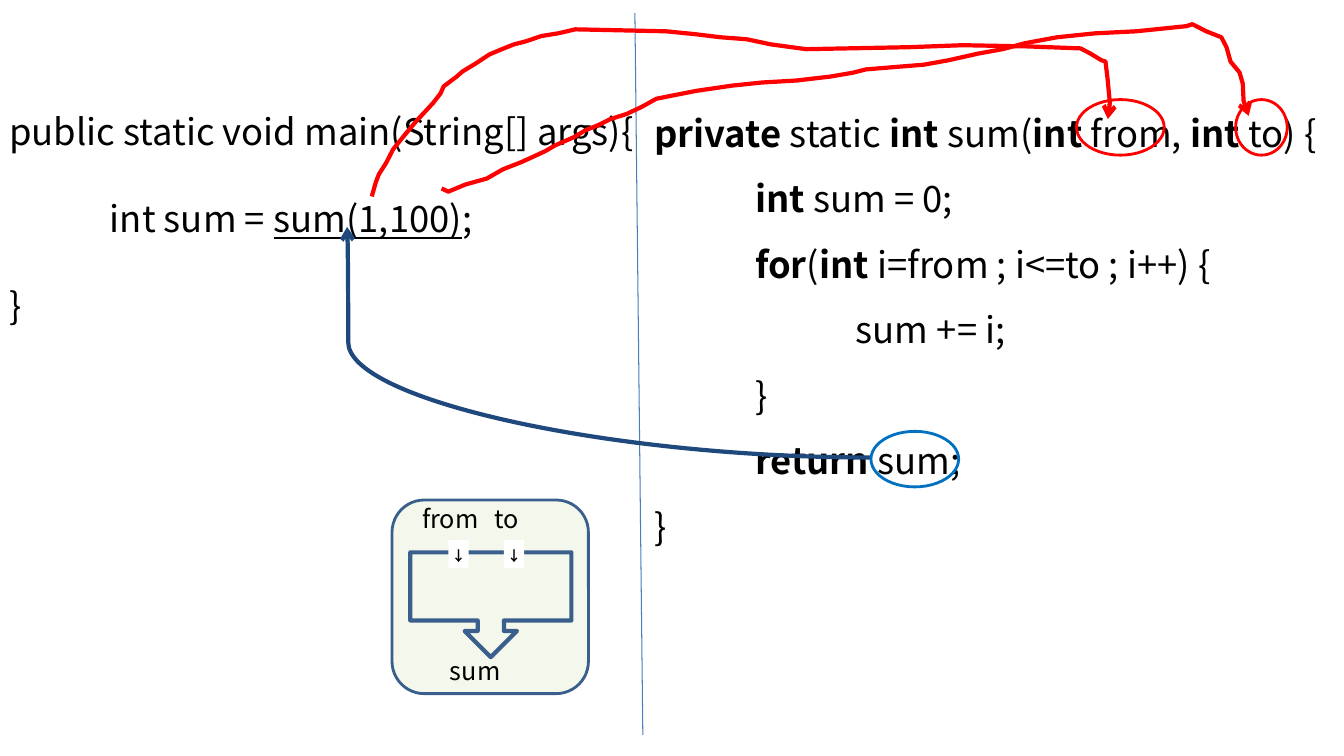
from lxml.etree import SubElement
from pptx import Presentation
from pptx.dml.color import RGBColor
from pptx.enum.shapes import MSO_CONNECTOR, MSO_SHAPE
from pptx.enum.text import MSO_ANCHOR, MSO_AUTO_SIZE, PP_ALIGN
from pptx.oxml.ns import qn
from pptx.util import Cm, Pt

BLACK = RGBColor(0x00, 0x00, 0x00)
WHITE = RGBColor(0xFF, 0xFF, 0xFF)
RED = RGBColor(0xFF, 0x00, 0x00)
BLUE = RGBColor(0x00, 0x70, 0xC0)
NAVY = RGBColor(0x1F, 0x49, 0x7D)
STEEL = RGBColor(0x3A, 0x5F, 0x8C)
DIVIDER = RGBColor(0x4B, 0x7E, 0xBC)
PALE_GREEN = RGBColor(0xD7, 0xE4, 0xBD)

MAIN_CODE = [
    [("public static void main(String[] args){", "")],
    [("\tint sum = ", ""), ("sum(1,100)", "u"), (";", "")],
    [("}", "")],
]
SUM_CODE = [
    [("private ", "b"), ("static ", ""), ("int", "b"), (" sum(", ""), ("int", "b"),
     (" from, ", ""), ("int", "b"), (" to) {", "")],
    [("\t", ""), ("int", "b"), (" sum = 0;", "")],
    [("\t", ""), ("for", "b"), ("(", ""), ("int", "b"), (" i=from ; i<=to ; i++) {", "")],
    [("\t\tsum += i;", "")],
    [("\t}", "")],
    [("\t", ""), ("return", "b"), (" sum;", "")],
    [("}", "")],
]
FROM_TRACE = [
    (9.37, 4.95), (9.47, 4.6), (9.55, 4.39), (9.73, 4.11), (9.91, 3.76), (10.16, 3.45),
    (10.41, 3.15), (10.54, 3), (10.69, 2.84), (10.92, 2.59), (11.1, 2.36), (11.18, 2.18),
    (11.51, 1.93), (11.66, 1.8), (11.99, 1.6), (12.34, 1.37), (12.65, 1.24), (12.95, 1.12),
    (13.26, 1.04), (13.64, 0.91), (14.07, 0.84), (14.5, 0.74), (16.79, 0.79), (17.5, 0.86),
    (18.16, 0.94), (18.82, 0.99), (19.43, 1.12), (20.32, 1.24), (22.91, 1.19), (24.26, 1.14),
    (25.88, 1.17), (27.23, 1.22), (27.48, 1.35), (27.76, 1.52), (27.86, 1.55), (27.91, 1.96),
    (27.97, 2.59), (27.92, 3),
]
TO_TRACE = [
    (11.13, 4.75), (11.3, 4.83), (11.73, 4.65), (12.27, 4.5), (12.67, 4.27), (13.13, 4.09),
    (13.46, 3.94), (13.74, 3.81), (14, 3.66), (14.48, 3.45), (14.76, 3.28), (15.09, 3.15),
    (15.39, 3), (15.8, 2.87), (16.18, 2.69), (16.54, 2.49), (16.94, 2.41), (17.55, 2.29),
    (18.44, 2.16), (19.2, 2.08), (20.07, 2.03), (20.93, 1.93), (21.51, 1.83), (21.82, 1.75),
    (22.43, 1.7), (23.29, 1.63), (23.9, 1.52), (24.66, 1.35), (25.27, 1.24), (25.83, 1.09),
    (26.64, 0.94), (27.61, 0.84), (28.63, 0.79), (29.9, 0.66), (30.05, 0.61), (30.4, 0.79),
    (30.78, 0.94), (30.91, 1.19), (31.01, 1.55), (31.24, 1.83), (31.32, 2.11), (31.34, 2.54),
    (31.47, 2.92),
]


class Sketch:
    """Draws code and call-flow elements on one slide, with lengths in centimetres."""

    font = "Noto Sans CJK KR"
    tab = 2.54

    def __init__(self, slide):
        self.shapes = slide.shapes

    def run(self, p, text, size, marks=""):
        r = p.add_run()
        r.text = text
        r.font.size = Pt(size)
        r.font.name = self.font
        r.font.color.rgb = BLACK
        r.font.bold = "b" in marks
        r.font.underline = "u" in marks
        SubElement(r.font._element, qn("a:ea")).set("typeface", self.font)

    def tab_stops(self, p, count):
        stops = SubElement(p._p.get_or_add_pPr(), qn("a:tabLst"))
        for i in range(1, count + 1):
            stop = SubElement(stops, qn("a:tab"))
            stop.set("pos", str(Cm(self.tab * i)))
            stop.set("algn", "l")

    def text(self, x, y, w, h, lines, size, spacing=1.0):
        tf = self.shapes.add_textbox(Cm(x), Cm(y), Cm(w), Cm(h)).text_frame
        tf.word_wrap = True
        tf.auto_size = MSO_AUTO_SIZE.SHAPE_TO_FIT_TEXT
        for i, line in enumerate(lines):
            p = tf.add_paragraph() if i else tf.paragraphs[0]
            p.line_spacing = spacing
            tabs = line[0][0].count("\t")
            if tabs:
                self.tab_stops(p, tabs)
            for text, marks in line:
                self.run(p, text, size, marks)

    def stroke(self, sp, color, width, arrow=False):
        sp.line.color.rgb = color
        sp.line.width = Pt(width)
        if arrow:
            SubElement(sp.line._get_or_add_ln(), qn("a:tailEnd")).set("type", "arrow")

    def connector(self, kind, x1, y1, x2, y2, color, width, arrow=False, bend=None):
        c = self.shapes.add_connector(kind, Cm(x1), Cm(y1), Cm(x2), Cm(y2))
        self.stroke(c, color, width, arrow)
        SubElement(c._element.spPr, qn("a:effectLst"))
        if bend is not None:
            guides = c._element.spPr.find(qn("a:prstGeom")).get_or_add_avLst()
            gd = SubElement(guides, qn("a:gd"))
            gd.set("name", "adj1")
            gd.set("fmla", f"val {bend}")

    def trace(self, points, color, width):
        start, *rest = [(round(x * 100), round(y * 100)) for x, y in points]
        fb = self.shapes.build_freeform(*start, scale=Cm(0.01))
        fb.add_line_segments(rest, close=False)
        sp = fb.convert_to_shape()
        sp.shadow.inherit = False
        sp.fill.background()
        self.stroke(sp, color, width, arrow=True)

    def shape(self, kind, x, y, w, h, line=None, width=2, fill=None, alpha=None):
        sp = self.shapes.add_shape(kind, Cm(x), Cm(y), Cm(w), Cm(h))
        sp.shadow.inherit = False
        if fill is None:
            sp.fill.background()
        else:
            sp.fill.solid()
            sp.fill.fore_color.rgb = fill
        if alpha is not None:
            clr = sp._element.spPr.find(qn("a:solidFill")).find(qn("a:srgbClr"))
            SubElement(clr, qn("a:alpha")).set("val", str(alpha * 1000))
        if line is None:
            sp.line.fill.background()
        else:
            self.stroke(sp, line, width)
        return sp

    def port(self, x, y):
        tf = self.shape(MSO_SHAPE.RECTANGLE, x, y, 0.51, 0.71, fill=WHITE).text_frame
        tf.margin_left = tf.margin_right = tf.margin_top = tf.margin_bottom = 0
        tf.vertical_anchor = MSO_ANCHOR.MIDDLE
        p = tf.paragraphs[0]
        p.alignment = PP_ALIGN.CENTER
        p.line_spacing = 1.15
        p.space_after = Pt(10)
        self.run(p, "↓", 10, "b")


def main():
    prs = Presentation()
    prs.slide_width, prs.slide_height = Cm(33.87), Cm(19.05)
    s = Sketch(prs.slides.add_slide(prs.slide_layouts[6]))

    s.text(-0.02, 1.52, 16.33, 6.58, MAIN_CODE, 26, 2.0)
    s.text(16.24, 2.12, 17.22, 11.71, SUM_CODE, 26, 1.5)

    s.connector(MSO_CONNECTOR.STRAIGHT, 16.0, 0.33, 16.2, 18.52, DIVIDER, 0.75)
    s.connector(MSO_CONNECTOR.CURVE, 21.95, 11.53, 8.75, 5.72, NAVY, 3, True, 99800)
    for points in (FROM_TRACE, TO_TRACE):
        s.trace(points, RED, 3)
    for x, y, w, color in ((27.13, 2.51, 2.21, RED), (31.14, 2.51, 1.3, RED),
                           (21.95, 10.87, 2.21, BLUE)):
        s.shape(MSO_SHAPE.OVAL, x, y, w, 1.4, color)

    s.shape(MSO_SHAPE.ROUNDED_RECTANGLE, 9.88, 12.6, 4.95, 4.88, STEEL, 2, PALE_GREEN, 28)
    s.shape(MSO_SHAPE.DOWN_ARROW_CALLOUT, 10.34, 13.92, 4.06, 2.64, STEEL, 3)
    for x in (11.3, 12.7):
        s.port(x, 13.61)
    for label, x, y, w in (("from", 10.39, 12.57, 2.3), ("to", 12.22, 12.57, 1.6),
                           ("sum", 11.09, 16.38, 2.2)):
        s.text(x, y, w, 1.02, [[(label, "")]], 18)

    prs.save("out.pptx")


if __name__ == "__main__":
    main()
